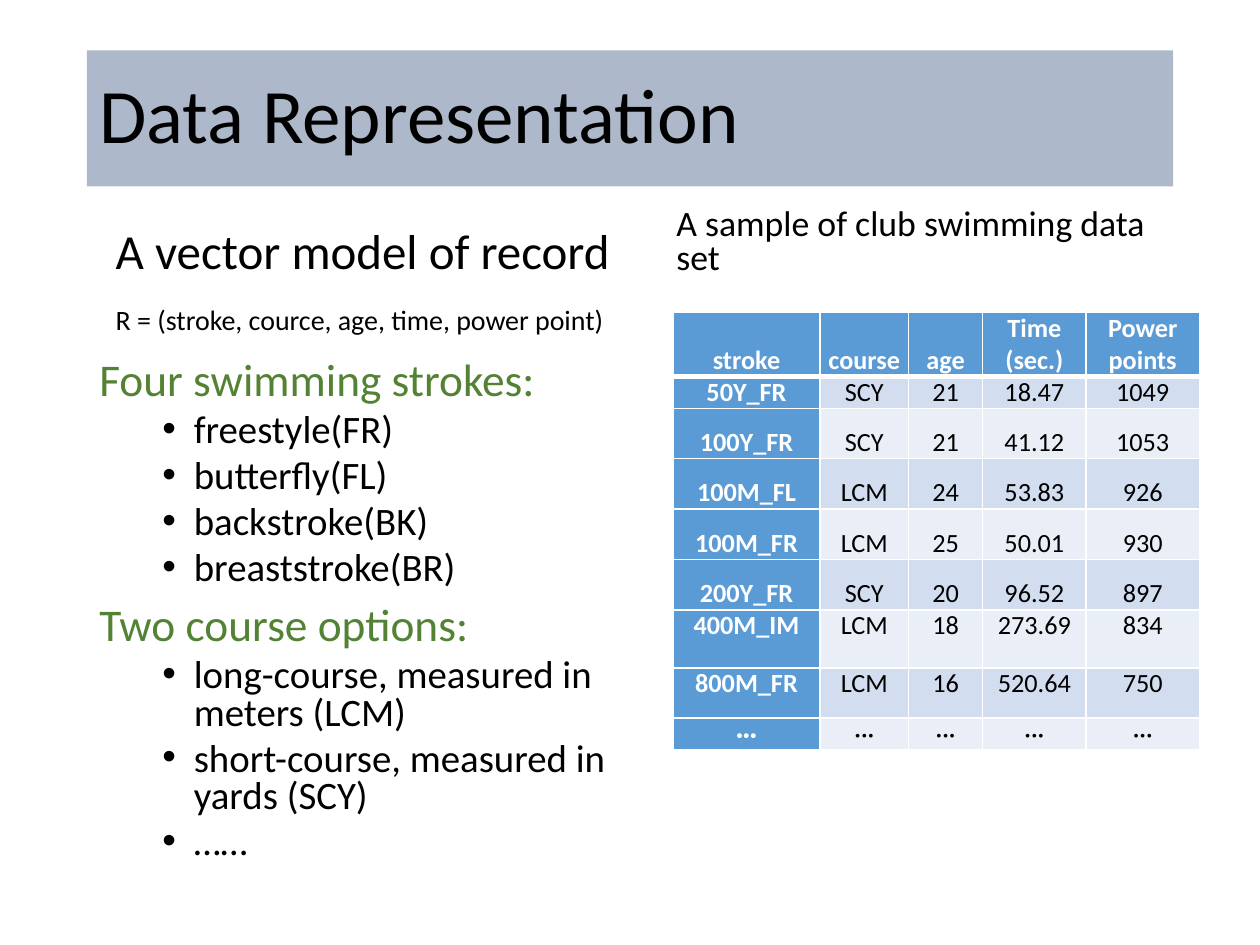
from lxml.etree import SubElement
from pptx import Presentation
from pptx.dml.color import RGBColor
from pptx.enum.shapes import MSO_SHAPE
from pptx.enum.text import MSO_ANCHOR, PP_ALIGN
from pptx.oxml.ns import qn
from pptx.util import Inches, Pt

FONT = "Calibri"
COLORS = {
    "banner": "ADB9CA", "text": "000000", "heading": "548235", "white": "FFFFFF",
    "header": "5B9BD5", "odd": "D2DEEF", "even": "EAEFF7",
}
TITLE = "Data Representation"
LABELS = [
    ("A sample of club swimming data set", (5.27, 1.84, 4.25, 0.41), 20.4, 0.8, 10, MSO_ANCHOR.BOTTOM),
    ("A vector model of record", (0.82, 1.7, 4.24, 0.57), 28, 1, 0, MSO_ANCHOR.TOP),
    ("R = (stroke, cource, age, time, power point)", (0.82, 2.24, 4.12, 0.48), 16, 0.9, 10, MSO_ANCHOR.BOTTOM),
]
OUTLINE = [
    ("Four swimming strokes:", PP_ALIGN.JUSTIFY,
     ["freestyle(FR)", "butterfly(FL)", "backstroke(BK) ", "breaststroke(BR) "]),
    ("Two course options: ", PP_ALIGN.LEFT,
     ["long-course, measured in meters (LCM)", "short-course, measured in yards (SCY)", "……"]),
]
RECORDS = [
    ("stroke", "course", "age", "Time (sec.)", "Power points"),
    ("50Y_FR", "SCY", "21", "18.47", "1049"),
    ("100Y_FR", "SCY", "21", "41.12", "1053"),
    ("100M_FL", "LCM", "24", "53.83", "926"),
    ("100M_FR", "LCM", "25", "50.01", "930"),
    ("200Y_FR", "SCY", "20", "96.52", "897"),
    ("400M_IM", "LCM", "18", "273.69", "834"),
    ("800M_FR", "LCM", "16", "520.64", "750"),
    ("···",) * 5,
]
COLUMN_WIDTHS = [1.17, 0.7, 0.59, 0.82, 0.9]
ROW_HEIGHTS = [0.51, 0.25, 0.4, 0.4, 0.4, 0.4, 0.46, 0.4, 0.25]
FIRST_TOP_ROW = 6


def color(name):
    return RGBColor.from_string(COLORS[name])


def add_run(paragraph, text, size, color_name="text", bold=False):
    run = paragraph.add_run()
    run.text = text
    run.font.name, run.font.size, run.font.bold = FONT, Pt(size), bold
    run.font.color.rgb = color(color_name)


def space(paragraph, line, before):
    paragraph.line_spacing, paragraph.space_before = line, Pt(before)


def add_text_box(slide, box, anchor=MSO_ANCHOR.TOP):
    frame = slide.shapes.add_textbox(*map(Inches, box)).text_frame
    frame.word_wrap, frame.vertical_anchor = True, anchor
    return frame


def add_title(slide):
    shape = slide.shapes.add_shape(MSO_SHAPE.RECTANGLE, *map(Inches, (0.69, 0.4, 8.62, 1.08)))
    shape.shadow.inherit = False
    shape.fill.solid()
    shape.fill.fore_color.rgb = color("banner")
    shape.line.fill.background()
    shape.text_frame.vertical_anchor = MSO_ANCHOR.MIDDLE
    paragraph = shape.text_frame.paragraphs[0]
    paragraph.alignment = PP_ALIGN.LEFT
    space(paragraph, 0.9, 0)
    add_run(paragraph, TITLE, 44)


def add_bullet(paragraph):
    properties = paragraph._p.get_or_add_pPr()
    properties.set("marL", str(Inches(0.75)))
    properties.set("indent", str(Inches(-0.25)))
    SubElement(properties, qn("a:buFont"), typeface="Arial")
    SubElement(properties, qn("a:buChar"), char="•")


def add_outline(slide):
    frame = add_text_box(slide, (0.69, 2.82, 4.37, 4.19))
    for index, (heading, alignment, items) in enumerate(OUTLINE):
        paragraph = frame.add_paragraph() if index else frame.paragraphs[0]
        space(paragraph, 0.8, 10)
        add_run(paragraph, heading, 25.9, "heading")
        for item in items:
            paragraph = frame.add_paragraph()
            paragraph.level, paragraph.alignment = 1, alignment
            space(paragraph, 0.8, 5)
            add_bullet(paragraph)
            add_run(paragraph, item, 22.2)


def add_borders(cell, is_header):
    properties = cell._tc.get_or_add_tcPr()
    for side in "LRTB":
        width = 3 if is_header and side == "B" else 1
        line = SubElement(properties, qn(f"a:ln{side}"), w=str(Pt(width)))
        fill = SubElement(line, qn("a:solidFill"))
        SubElement(fill, qn("a:srgbClr"), val=COLORS["white"])


def add_records(slide):
    box = (5.34, 2.48, sum(COLUMN_WIDTHS), sum(ROW_HEIGHTS))
    table = slide.shapes.add_table(len(RECORDS), len(COLUMN_WIDTHS), *map(Inches, box)).table
    table.first_col = True
    for column, width in zip(table.columns, COLUMN_WIDTHS):
        column.width = Inches(width)
    for row_index, (row, height, record) in enumerate(zip(table.rows, ROW_HEIGHTS, RECORDS)):
        row.height = Inches(height)
        band = "odd" if row_index % 2 else "even"
        for column_index, (cell, value) in enumerate(zip(row.cells, record)):
            strong = row_index == 0 or column_index == 0
            add_borders(cell, row_index == 0)
            cell.fill.solid()
            cell.fill.fore_color.rgb = color("header" if strong else band)
            cell.margin_left = cell.margin_right = Inches(0.06)
            cell.margin_top = cell.margin_bottom = 0
            cell.vertical_anchor = MSO_ANCHOR.BOTTOM if row_index < FIRST_TOP_ROW else MSO_ANCHOR.TOP
            paragraph = cell.text_frame.paragraphs[0]
            paragraph.alignment = PP_ALIGN.CENTER
            add_run(paragraph, value, 15, "white" if strong else "text", strong)


def main():
    """Build the data representation slide."""
    presentation = Presentation()
    presentation.slide_width, presentation.slide_height = Inches(10), Inches(7.5)
    slide = presentation.slides.add_slide(presentation.slide_layouts[6])
    add_title(slide)
    add_outline(slide)
    add_records(slide)
    for text, box, size, line, before, anchor in LABELS:
        paragraph = add_text_box(slide, box, anchor).paragraphs[0]
        space(paragraph, line, before)
        add_run(paragraph, text, size)
    presentation.save("out.pptx")


if __name__ == "__main__":
    main()
